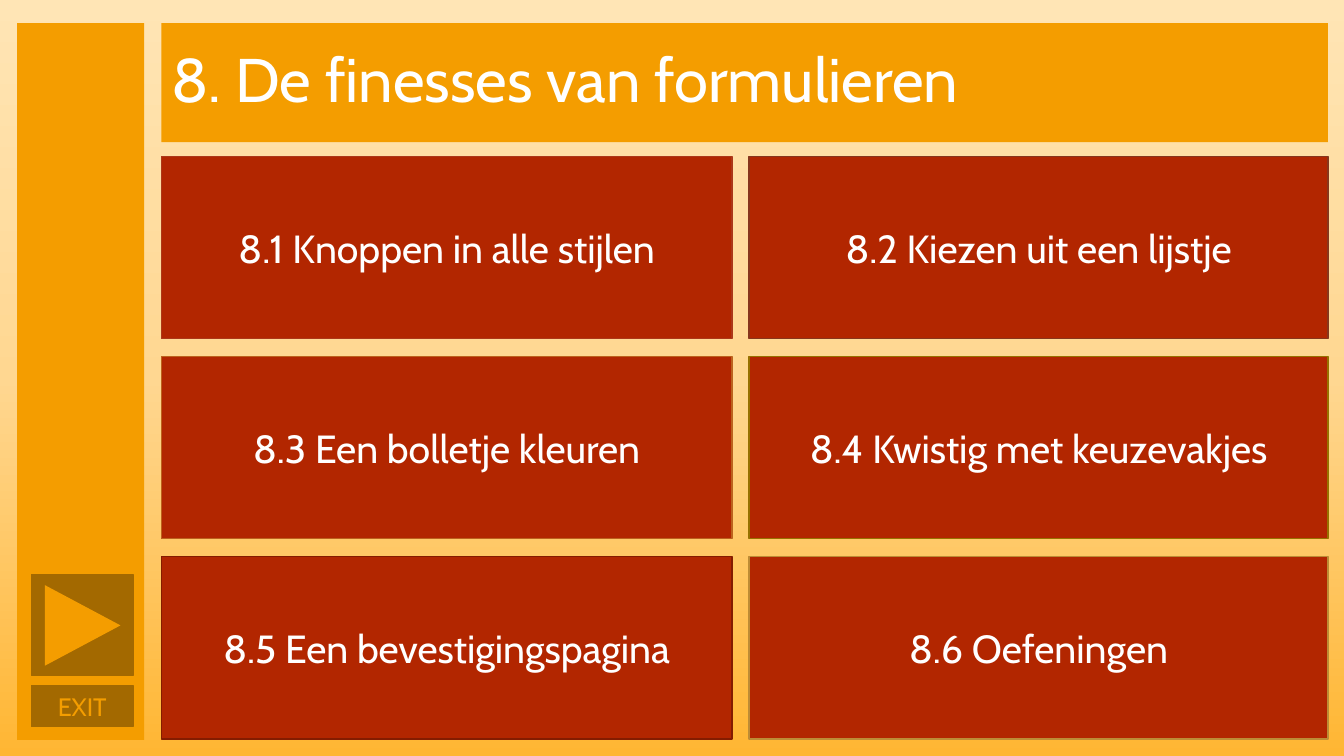
"""Build the chapter menu slide about forms, with lengths in percent of the slide."""
from copy import deepcopy
from dataclasses import dataclass
from typing import Optional

from pptx import Presentation
from pptx import util as u
from pptx.dml.color import RGBColor
from pptx.enum import shapes, text
from pptx.oxml import ns

WIDE, HIGH = u.Inches(13.33), u.Inches(7.5)
FONT = "Cabin"
WHITE = RGBColor(0xFF, 0xFF, 0xFF)
AMBER = RGBColor(0xF4, 0x9D, 0x00)
BROWN = RGBColor(0xA3, 0x69, 0x00)
RED = RGBColor(0xB2, 0x26, 0x00)
SKY = (
    (0, RGBColor(0xFF, 0xE5, 0xB5)),
    (0.5, RGBColor(0xFF, 0xD7, 0x91)),
    (1, RGBColor(0xFF, 0xB6, 0x33)),
)

LEFT, TOP = 12, 3.07
COLS = ((LEFT, 42.46), (55.74, 43.06))
ROW, STEP, TALL = 20.67, 26.47, 24.13
TOPICS = (
    ("8.1 Knoppen in alle stijlen", RGBColor(0xAC, 0x38, 0x19)),
    ("8.2 Kiezen uit een lijstje", RGBColor(0x87, 0x36, 0x1C)),
    ("8.3 Een bolletje kleuren", RGBColor(0xBD, 0x62, 0x1D)),
    ("8.4 Kwistig met keuzevakjes", RGBColor(0x97, 0x71, 0x00)),
    ("8.5 Een bevestigingspagina", RGBColor(0x84, 0x1C, 0x00)),
    ("8.6 Oefeningen", RGBColor(0xBD, 0x8C, 0x35)),
)


@dataclass(frozen=True)
class Box:
    """A filled shape placed in percent of the slide, with optional text."""

    x: float
    y: float
    w: float
    h: float
    fill: RGBColor
    line: Optional[RGBColor] = None
    label: str = ""
    size: float = 28
    ink: RGBColor = WHITE
    kind: shapes.MSO_SHAPE = shapes.MSO_SHAPE.RECTANGLE
    turn: float = 0


def place(item, box: Box) -> None:
    """Set the position, size and fill of a shape."""
    item.left, item.width = (int(WIDE * n / 100) for n in (box.x, box.w))
    item.top, item.height = (int(HIGH * n / 100) for n in (box.y, box.h))
    item.fill.solid()
    item.fill.fore_color.rgb = box.fill


def write(item, words: str, *, size: float, ink: RGBColor,
          align=text.PP_ALIGN.CENTER, space: float = 1.0) -> None:
    """Put one formatted, vertically centred paragraph in a shape."""
    frame = item.text_frame
    frame.text = words
    frame.word_wrap = True
    frame.auto_size = text.MSO_AUTO_SIZE.NONE
    frame.vertical_anchor = text.MSO_ANCHOR.MIDDLE
    para = frame.paragraphs[0]
    para.alignment, para.line_spacing = align, space
    para.font.name, para.font.size = FONT, u.Pt(size)
    para.font.color.rgb = ink


def draw(slide, box: Box) -> None:
    """Add a box to the slide."""
    item = slide.shapes.add_shape(box.kind, 0, 0, 0, 0)
    place(item, box)
    item.rotation = box.turn
    item.shadow.inherit = False
    if box.line is None:
        item.line.fill.background()
    else:
        item.line.color.rgb = box.line
        item.line.width = u.Pt(1)
    if box.label:
        write(item, box.label, size=box.size, ink=box.ink)


def paint(slide) -> None:
    """Fill the background with a gradient from top to bottom."""
    fill = slide.background.fill
    fill.gradient()
    fill.gradient_angle = 270
    stops = slide.element.find(".//" + ns.qn("a:gsLst"))
    stops.append(deepcopy(stops[-1]))
    for stop, (spot, color) in zip(fill.gradient_stops, SKY):
        stop.position = spot
        stop.color.rgb = color


def main() -> None:
    """Build and save the slide."""
    deck = Presentation()
    deck.slide_width, deck.slide_height = WIDE, HIGH
    slide = deck.slides.add_slide(deck.slide_layouts[5])
    paint(slide)

    title = slide.shapes.title
    place(title, Box(LEFT, TOP, 86.8, 15.73, AMBER))
    write(title, "8. De finesses van formulieren", size=44, ink=WHITE,
          align=text.PP_ALIGN.LEFT, space=0.9)

    side = (
        Box(1.28, TOP, 9.45, 94.8, AMBER),
        Box(2.33, 90.67, 7.58, 5.47, BROWN, BROWN, "EXIT", 18, AMBER),
        Box(2.33, 76, 7.58, 13.33, BROWN, BROWN),
        Box(3.15, 77.73, 6, 10, AMBER,
            kind=shapes.MSO_SHAPE.ISOSCELES_TRIANGLE, turn=90),
    )
    for box in side:
        draw(slide, box)
    for i, (label, line) in enumerate(TOPICS):
        row, col = divmod(i, len(COLS))
        x, w = COLS[col]
        draw(slide, Box(x, ROW + row * STEP, w, TALL, RED, line, label))
    deck.save("out.pptx")


if __name__ == "__main__":
    main()
